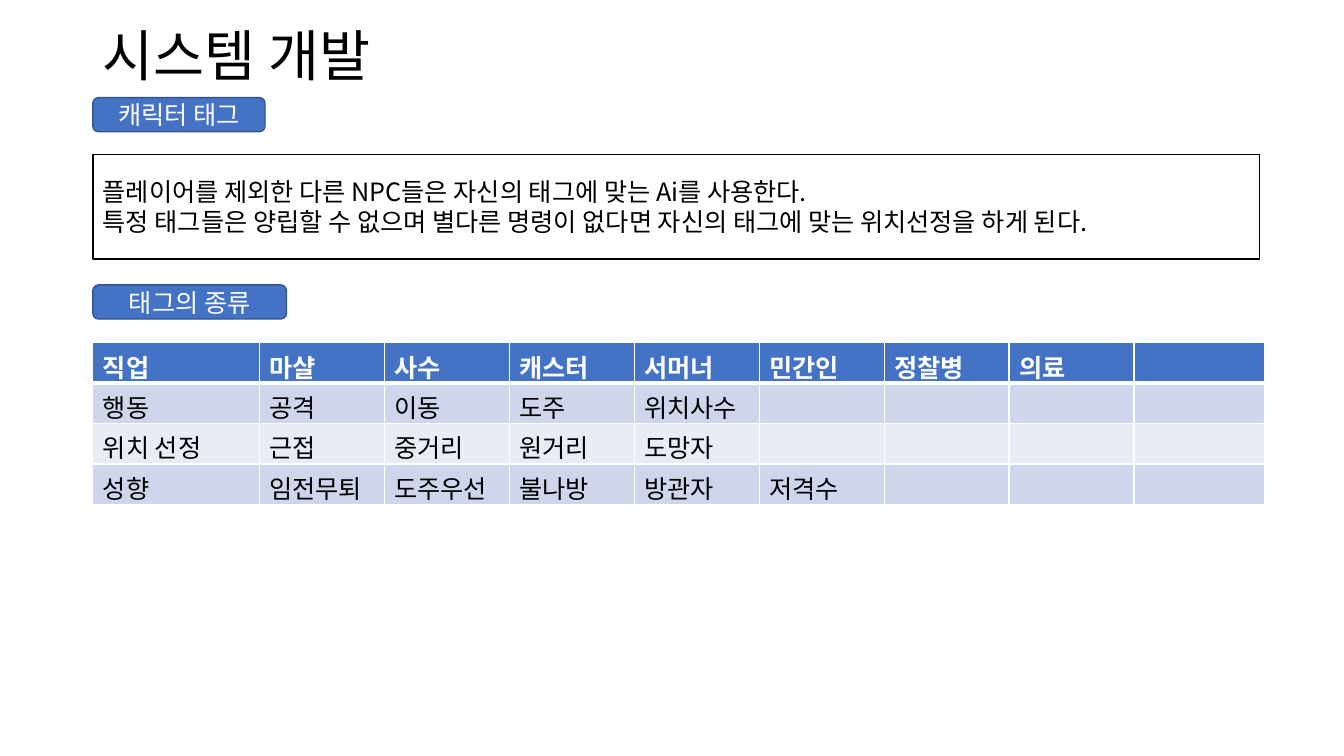
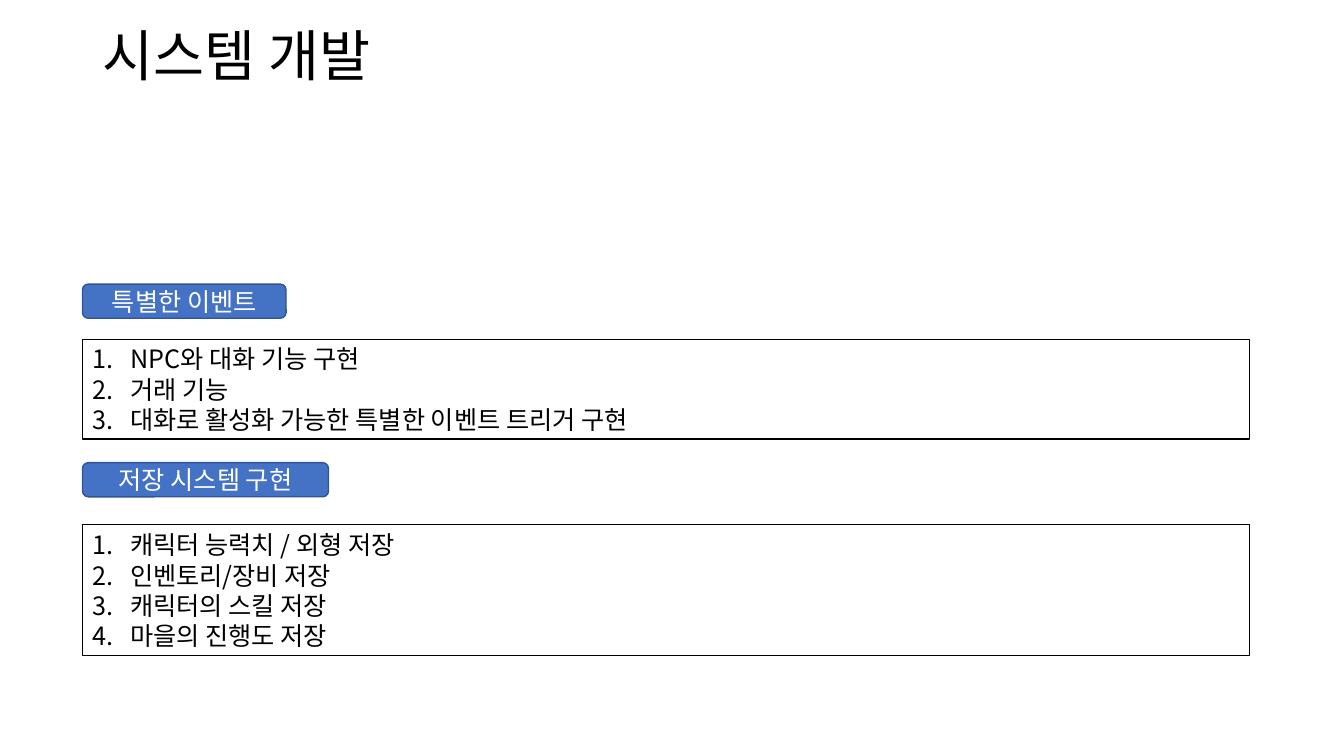
from lxml import etree
from pptx import Presentation
from pptx.dml.color import RGBColor
from pptx.enum import shapes, text
from pptx.oxml import ns
from pptx.util import Cm, Pt

FONT = "Noto Sans CJK KR"
BODY_SIZE = 18
TITLE_SIZE = 39.6
BLACK = RGBColor(0x00, 0x00, 0x00)
WHITE = RGBColor(0xFF, 0xFF, 0xFF)
BLUE = RGBColor(0x44, 0x72, 0xC4)
DARK_BLUE = RGBColor(0x32, 0x54, 0x91)
BAND_COLORS = (RGBColor(0xCF, 0xD5, 0xEA), RGBColor(0xE9, 0xEB, 0xF5))

TITLE = "시스템 개발"
TITLE_BOX = (2.34, 1.02, 23.22, 0.89)
TAG_HEIGHT = 0.86
PANEL_WIDTH = 29.41
NUMBER_INDENT = 0.95

TAG_COLUMNS = (4.19, *[3.15] * 7, 3.28)
TAG_ROW_HEIGHT = 0.91
TAG_ROWS = (
    ("직업", "마샬", "사수", "캐스터", "서머너", "민간인", "정찰병", "의료"),
    ("행동", "공격", "이동", "도주", "위치사수"),
    ("위치 선정", "근접", "중거리", "원거리", "도망자"),
    ("성향", "임전무퇴", "도주우선", "불나방", "방관자", "저격수"),
)


def add_run(paragraph, content, color, size=BODY_SIZE, bold=False):
    run = paragraph.add_run()
    run.text = content
    font = run.font
    font.size, font.bold = Pt(size), bold
    font.color.rgb = color
    font.name = FONT
    east_asian = etree.SubElement(run._r.get_or_add_rPr(), ns.qn("a:ea"))
    east_asian.set("typeface", FONT)


def number_paragraph(paragraph):
    properties = paragraph._p.get_or_add_pPr()
    properties.set("marL", str(Cm(NUMBER_INDENT)))
    properties.set("indent", str(-Cm(NUMBER_INDENT)))
    etree.SubElement(properties, ns.qn("a:buAutoNum")).set("type", "arabicPeriod")


def add_box(slide, kind, box, line_color, fill_color=None):
    """Add an outlined shape, filled if a colour is given, and return its text frame."""
    shape = slide.shapes.add_shape(kind, *map(Cm, box))
    shape.shadow.inherit = False
    if fill_color is None:
        shape.fill.background()
    else:
        shape.fill.solid()
        shape.fill.fore_color.rgb = fill_color
    shape.line.color.rgb = line_color
    shape.line.width = Pt(1)
    frame = shape.text_frame
    frame.word_wrap = True
    frame.vertical_anchor = text.MSO_ANCHOR.MIDDLE
    return frame


def add_title(slide):
    frame = slide.shapes.add_textbox(*map(Cm, TITLE_BOX)).text_frame
    frame.word_wrap = True
    frame.vertical_anchor = text.MSO_ANCHOR.MIDDLE
    paragraph = frame.paragraphs[0]
    paragraph.line_spacing = 0.9
    add_run(paragraph, TITLE, BLACK, TITLE_SIZE)


def add_tag(slide, left, top, width, label):
    frame = add_box(slide, shapes.MSO_SHAPE.ROUNDED_RECTANGLE,
                    (left, top, width, TAG_HEIGHT), DARK_BLUE, BLUE)
    paragraph = frame.paragraphs[0]
    paragraph.alignment = text.PP_ALIGN.CENTER
    add_run(paragraph, label, WHITE)


def add_panel(slide, left, top, height, lines, numbered=False):
    frame = add_box(slide, shapes.MSO_SHAPE.RECTANGLE,
                    (left, top, PANEL_WIDTH, height), BLACK)
    for index, line in enumerate(lines):
        paragraph = frame.add_paragraph() if index else frame.paragraphs[0]
        paragraph.alignment = text.PP_ALIGN.LEFT
        if numbered:
            number_paragraph(paragraph)
        add_run(paragraph, line, BLACK)


def set_borders(cell, top_width, bottom_width):
    properties = cell._tc.get_or_add_tcPr()
    widths = {"lnL": 1, "lnR": 1, "lnT": top_width, "lnB": bottom_width}
    for side, width in widths.items():
        line = etree.SubElement(properties, ns.qn(f"a:{side}"), w=str(Pt(width)))
        fill = etree.SubElement(line, ns.qn("a:solidFill"))
        etree.SubElement(fill, ns.qn("a:srgbClr"), val=str(WHITE))


def add_tag_table(slide, left, top):
    frame = slide.shapes.add_table(
        len(TAG_ROWS), len(TAG_COLUMNS), Cm(left), Cm(top),
        Cm(sum(TAG_COLUMNS)), Cm(TAG_ROW_HEIGHT * len(TAG_ROWS)))
    table = frame.table
    for column, width in zip(table.columns, TAG_COLUMNS):
        column.width = Cm(width)
    for row_index, labels in enumerate(TAG_ROWS):
        header = row_index == 0
        row = table.rows[row_index]
        row.height = Cm(TAG_ROW_HEIGHT)
        for column_index, cell in enumerate(row.cells):
            set_borders(cell, 3 if row_index == 1 else 1, 3 if header else 1)
            cell.fill.solid()
            cell.fill.fore_color.rgb = BLUE if header else BAND_COLORS[(row_index - 1) % 2]
            paragraph = cell.text_frame.paragraphs[0]
            if column_index < len(labels):
                add_run(paragraph, labels[column_index], WHITE if header else BLACK, bold=header)


def add_slide(presentation):
    slide = presentation.slides.add_slide(presentation.slide_layouts[6])
    add_title(slide)
    return slide


def build_tag_slide(presentation):
    slide = add_slide(presentation)
    left = 2.34
    add_tag(slide, left, 2.46, 4.34, "캐릭터 태그")
    add_panel(slide, left, 3.89, 2.64, (
        "플레이어를 제외한 다른 NPC들은 자신의 태그에 맞는 Ai를 사용한다.",
        "특정 태그들은 양립할 수 없으며 별다른 명령이 없다면 자신의 태그에 맞는 위치선정을 하게 된다.",
    ))
    add_tag(slide, left, 7.18, 4.88, "태그의 종류")
    add_tag_table(slide, left, 8.64)


def build_feature_slide(presentation):
    slide = add_slide(presentation)
    left = 2.08
    add_tag(slide, left, 7.16, 5.13, "특별한 이벤트")
    add_panel(slide, left, 8.55, 2.51, (
        "NPC와 대화 기능 구현",
        "거래 기능",
        "대화로 활성화 가능한 특별한 이벤트 트리거 구현",
    ), numbered=True)
    add_tag(slide, left, 11.66, 6.2, "저장 시스템 구현")
    add_panel(slide, left, 13.22, 3.3, (
        "캐릭터 능력치 / 외형 저장",
        "인벤토리/장비 저장",
        "캐릭터의 스킬 저장",
        "마을의 진행도 저장",
    ), numbered=True)


def main():
    presentation = Presentation()
    presentation.slide_width, presentation.slide_height = Cm(33.87), Cm(19.05)
    build_tag_slide(presentation)
    build_feature_slide(presentation)
    presentation.save("out.pptx")


if __name__ == "__main__":
    main()
